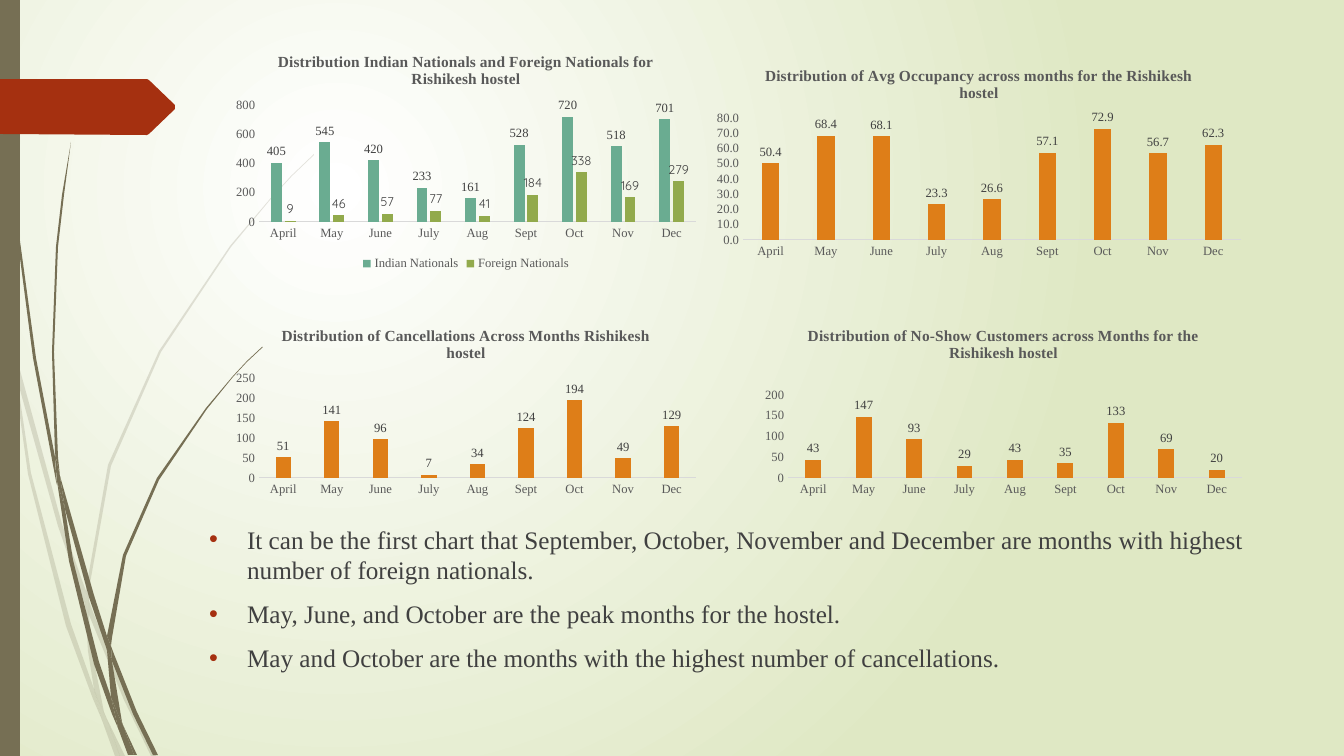
import pptx
import pptx.chart.data
import pptx.dml.color
import pptx.enum.chart
import pptx.enum.shapes
import pptx.oxml
import pptx.oxml.ns
import pptx.util

RGB = pptx.dml.color.RGBColor
WHITE = RGB(0xFF, 0xFF, 0xFF)
PALE_GREEN = RGB(0xDF, 0xE8, 0xC4)
OLIVE = RGB(0x76, 0x6F, 0x54)
RUST = RGB(0xA5, 0x30, 0x10)
TEAL = RGB(0x6A, 0xAC, 0x91)
GREEN = RGB(0x92, 0xAA, 0x4C)
ORANGE = RGB(0xDE, 0x7E, 0x18)
AXIS_GREY = RGB(0xD9, 0xD9, 0xD9)
TEXT_GREY = RGB(0x59, 0x59, 0x59)
DARK_GREY = RGB(0x40, 0x40, 0x40)
SERIF, SANS = "Times New Roman", "Quicksand"

PX = 914400 / 100.8
SLIDE_W, SLIDE_H = 1344, 756
MONTHS = ["April", "May", "June", "July", "Aug", "Sept", "Oct", "Nov", "Dec"]

# Outlines of the grass pieces, in px.
FADED_GRASS = [
    [(11, 353), (9, 325), (0, 284), (0, 301), (10, 347)],
    [(58, 526), (85, 604), (86, 591), (62, 524), (14, 348), (17, 379)],
    [(93, 612), (89, 601), (89, 615), (124, 700), (151, 756), (156, 756), (128, 698)],
    [(120, 756), (125, 756), (106, 717)],
    [(94, 689), (71, 624), (31, 473), (17, 379), (11, 353), (28, 474), (66, 626), (93, 699),
     (102, 720), (100, 713)],
    [(85, 604), (88, 651), (94, 689), (97, 698), (106, 717), (104, 712), (92, 651), (89, 615),
     (89, 613)],
    [(89, 589), (111, 466), (161, 352), (231, 247), (270, 200), (292, 176), (314, 155),
     (314, 154), (291, 176), (270, 199), (230, 246), (159, 351), (108, 465), (86, 589),
     (86, 591), (89, 601)],
    [(102, 720), (115, 756), (120, 756)],
    [(89, 613), (89, 615), (89, 601), (86, 591), (85, 604)],
    [(97, 698), (94, 689), (100, 713), (102, 720), (120, 756), (106, 717)],
]
GRASS = [
    [(7, 111), (17, 235), (33, 358), (56, 481), (57, 485), (55, 461), (55, 457), (36, 358),
     (19, 234), (8, 110), (5, 48), (4, 0), (3, 0), (4, 48)],
    [(89, 597), (107, 650), (107, 638), (107, 636), (94, 595), (60, 476), (65, 509)],
    [(114, 654), (111, 646), (112, 661), (133, 714), (153, 755), (158, 755), (137, 712)],
    [(111, 697), (99, 662), (73, 560), (65, 509), (57, 481), (69, 561), (94, 664), (112, 714),
     (118, 728), (117, 723)],
    [(60, 476), (58, 457), (54, 352), (58, 247), (64, 195), (71, 142), (62, 195), (56, 247),
     (52, 352), (55, 453)],
    [(134, 755), (137, 755), (123, 725)],
    [(57, 481), (65, 509), (60, 476), (55, 453), (55, 457)],
    [(112, 638), (126, 556), (159, 480), (207, 409), (233, 377), (247, 362), (263, 347),
     (262, 347), (247, 361), (233, 376), (206, 408), (157, 478), (123, 555), (107, 636),
     (111, 646)],
    [(118, 728), (128, 755), (132, 755)],
    [(107, 650), (111, 697), (117, 712), (123, 725), (122, 722), (112, 661), (110, 656)],
    [(107, 650), (110, 656), (112, 661), (111, 646), (107, 636)],
    [(117, 712), (111, 697), (117, 723), (118, 728), (131, 755), (134, 755), (123, 725)],
]
PAGE_FLAG = [(175, 109), (149, 134), (147, 135), (0, 134), (0, 79), (147, 79), (149, 80),
             (175, 105)]

FINDINGS = [
    "It can be the first chart that September, October, November and December are months"
    " with highest number of foreign nationals.",
    "May, June, and October are the peak months for the hostel.",
    "May and October are the months with the highest number of cancellations.",
]

# Title, box, plot box, axis maximum and step, number format, series.
HOSTEL_CHARTS = [
    ("Distribution Indian Nationals and Foreign Nationals for Rishikesh hostel",
     (226, 39, 480, 236), (259, 105, 437, 117), 800, 200, "General",
     [("Indian Nationals", [405, 545, 420, 233, 161, 528, 720, 518, 701], TEAL, SERIF),
      ("Foreign Nationals", [9, 46, 57, 77, 41, 184, 338, 169, 279], GREEN, SANS)]),
    ("Distribution of Cancellations Across Months Rishikesh hostel",
     (226, 314, 480, 186), (259, 378, 437, 100), 250, 50, "General",
     [("Series 1", [51, 141, 96, 7, 34, 124, 194, 49, 129], ORANGE, SERIF)]),
    ("Distribution of Avg Occupancy across months for the Rishikesh hostel",
     (706, 54, 546, 209), (743, 118, 498, 122), 80, 10, "0.0",
     [("Series 1", [50.4, 68.4, 68.1, 23.3, 26.6, 57.1, 72.9, 56.7, 62.3], ORANGE, SERIF)]),
    ("Distribution of No-Show Customers across Months for the Rishikesh hostel",
     (755, 314, 497, 186), (788, 395, 454, 83), 200, 50, "General",
     [("Series 1", [43, 147, 93, 29, 43, 35, 133, 69, 20], ORANGE, SERIF)]),
]


def px(*lengths):
    return [pptx.util.Emu(round(length * PX)) for length in lengths]


def xml(tag, body):
    """Parse one element of the drawing (a) or chart (c) namespace."""
    return pptx.oxml.parse_xml(f"<{tag} {pptx.oxml.ns.nsdecls('a', 'c')} {body}")


def set_font(font, size, color, name=SERIF, bold=False):
    font.size, font.name, font.bold = pptx.util.Pt(size), name, bold
    font.color.rgb = color


def paint(shape, color, alpha=None):
    shape.shadow.inherit = False
    shape.fill.solid()
    shape.fill.fore_color.rgb = color
    shape.line.fill.background()
    if alpha:
        fill_color = shape.element.spPr.find(".//" + pptx.oxml.ns.qn("a:srgbClr"))
        fill_color.append(xml("a:alpha", f'val="{alpha * 1000}"/>'))


def draw_background(slide):
    fill = slide.background.fill
    fill.gradient()
    for stop, color, position in zip(fill.gradient_stops, (WHITE, PALE_GREEN), (0, 1)):
        stop.color.rgb, stop.position = color, position
    linear = slide.element.find(".//" + pptx.oxml.ns.qn("a:lin"))
    linear.getparent().replace(linear, xml(
        "a:path", 'path="circle"><a:fillToRect l="50000" t="50000" r="100000" b="100000"/></a:path>'))


def draw_outline(slide, points, color, alpha=None):
    builder = slide.shapes.build_freeform(*points[0], scale=PX)
    builder.add_line_segments(points[1:])
    paint(builder.convert_to_shape(), color, alpha)


def draw_decoration(slide):
    for piece in FADED_GRASS:
        draw_outline(slide, piece, OLIVE, alpha=20)
    for piece in GRASS:
        draw_outline(slide, piece, OLIVE)
    side_bar = slide.shapes.add_shape(
        pptx.enum.shapes.MSO_SHAPE.RECTANGLE, *px(0, 0, 20, SLIDE_H))
    paint(side_bar, OLIVE)
    draw_outline(slide, PAGE_FLAG, RUST)


def place_plot(chart, box, plot):
    """Fix the inner plot area, given in slide px, inside the chart box."""
    left, top, width, height = box
    shares = {"x": (plot[0] - left) / width, "y": (plot[1] - top) / height,
              "w": plot[2] / width, "h": plot[3] / height}
    parts = '<c:layoutTarget val="inner"/><c:xMode val="edge"/><c:yMode val="edge"/>'
    parts += "".join(f'<c:{side} val="{share:.4f}"/>' for side, share in shares.items())
    plot_area = chart.element.chart.plotArea if hasattr(chart.element, "chart") else None
    for layout in plot_area.findall(pptx.oxml.ns.qn("c:layout")):
        plot_area.remove(layout)
    plot_area.insert(0, xml("c:layout", f"><c:manualLayout>{parts}</c:manualLayout></c:layout>"))


def format_axes(chart, maximum, step, number_format):
    for axis in (chart.category_axis, chart.value_axis):
        axis.has_major_gridlines = False
        axis.major_tick_mark = axis.minor_tick_mark = pptx.enum.chart.XL_TICK_MARK.NONE
        set_font(axis.tick_labels.font, 9, TEXT_GREY)
    chart.category_axis.format.line.color.rgb = AXIS_GREY
    chart.category_axis.format.line.width = pptx.util.Pt(0.75)
    values = chart.value_axis
    values.format.line.fill.background()
    values.minimum_scale, values.maximum_scale, values.major_unit = 0, maximum, step
    values.tick_labels.number_format = number_format
    values.tick_labels.number_format_is_linked = False


def draw_chart(slide, title, box, plot, maximum, step, number_format, series):
    data = pptx.chart.data.CategoryChartData(number_format=number_format)
    data.categories = MONTHS
    for name, values, *_ in series:
        data.add_series(name, values)
    chart = slide.shapes.add_chart(
        pptx.enum.chart.XL_CHART_TYPE.COLUMN_CLUSTERED, *px(*box), data).chart
    set_font(chart.font, 10, TEXT_GREY)
    chart.has_title = True
    chart.chart_title.text_frame.text = title
    set_font(chart.chart_title.text_frame.paragraphs[0].font, 11, TEXT_GREY, bold=True)
    chart.has_legend = len(series) > 1
    if chart.has_legend:
        chart.legend.position = pptx.enum.chart.XL_LEGEND_POSITION.BOTTOM
        chart.legend.include_in_layout = False
        set_font(chart.legend.font, 9, TEXT_GREY)
    format_axes(chart, maximum, step, number_format)
    columns = chart.plots[0]
    columns.gap_width, columns.overlap, columns.vary_by_categories = 219, -27, False
    for column, (_, _, color, label_font) in zip(columns.series, series):
        column.format.fill.solid()
        column.format.fill.fore_color.rgb = color
        labels = column.data_labels
        labels.show_value = True
        labels.position = pptx.enum.chart.XL_LABEL_POSITION.OUTSIDE_END
        labels.number_format, labels.number_format_is_linked = number_format, False
        set_font(labels.font, 9, DARK_GREY, label_font)
    place_plot(chart, box, plot)


def write_findings(slide, box):
    body = slide.placeholders[1]
    body.left, body.top, body.width, body.height = px(*box)
    body.text_frame.text = "\n".join(FINDINGS)
    indent, = px(38)
    for paragraph in body.text_frame.paragraphs:
        properties = paragraph._p.get_or_add_pPr()
        properties.set("marL", str(indent))
        properties.set("indent", str(-indent))
        properties.append(xml("a:buClr", f'><a:srgbClr val="{RUST}"/></a:buClr>'))
        properties.append(xml("a:buFont", 'typeface="Arial"/>'))
        properties.append(xml("a:buChar", 'char="•"/>'))
        paragraph.space_before = pptx.util.Pt(10)
        set_font(paragraph.font, 18, DARK_GREY)


def main():
    deck = pptx.Presentation()
    deck.slide_width, deck.slide_height = px(SLIDE_W, SLIDE_H)
    slide = deck.slides.add_slide(deck.slide_layouts[1])
    slide.shapes.title.element.getparent().remove(slide.shapes.title.element)
    draw_background(slide)
    draw_decoration(slide)
    for hostel_chart in HOSTEL_CHARTS:
        draw_chart(slide, *hostel_chart)
    write_findings(slide, (199, 519, 1061, 209))
    deck.save("out.pptx")


if __name__ == "__main__":
    main()
